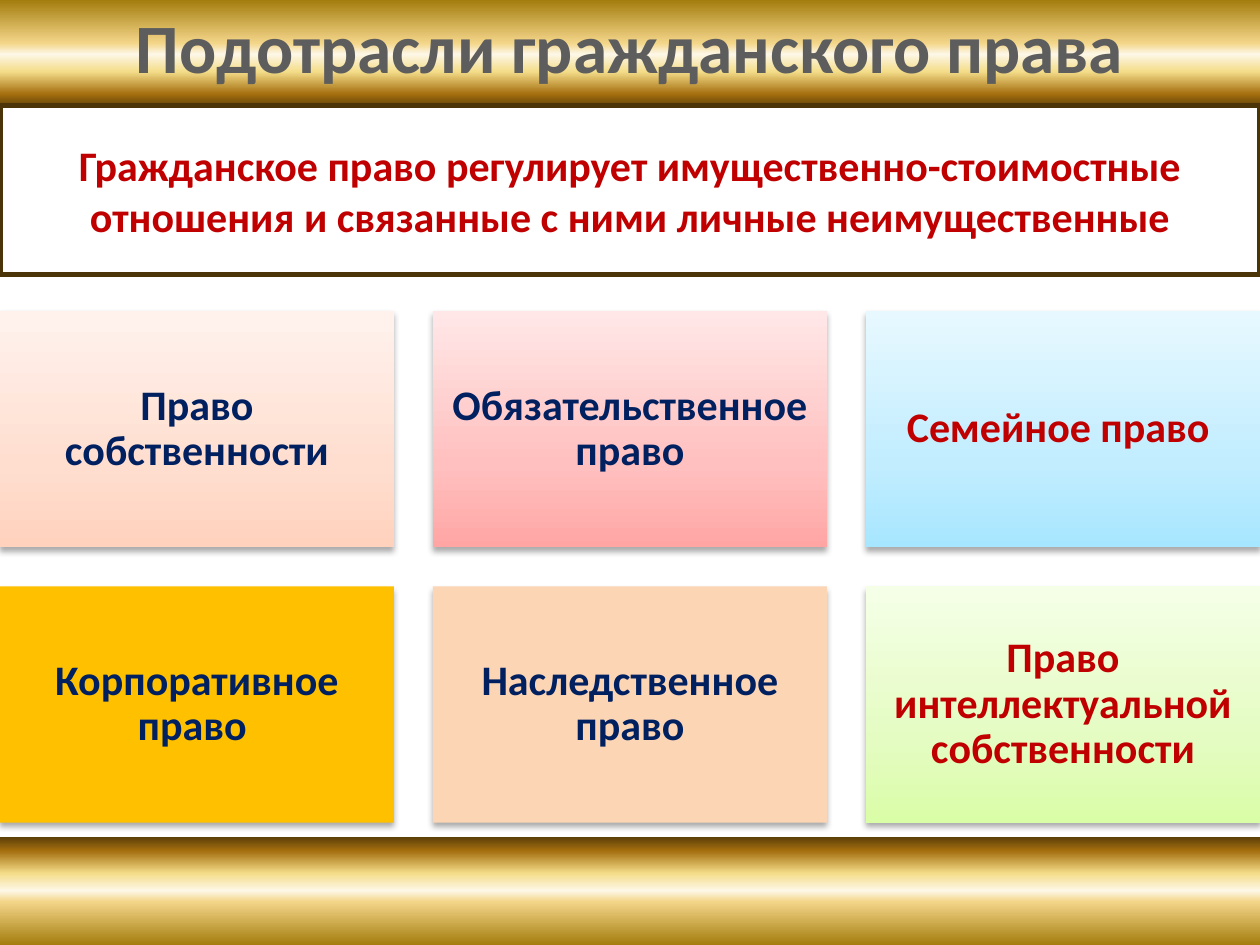
from lxml import etree
from pptx import Presentation
from pptx.dml.color import RGBColor as RGB
from pptx.enum.shapes import MSO_SHAPE as SHAPE
from pptx.enum.text import MSO_ANCHOR as ANCHOR, PP_ALIGN as ALIGN
from pptx.oxml.ns import qn
from pptx.util import Inches, Pt

FONT = "Calibri"
WHITE, BLACK = RGB(255, 255, 255), RGB(0, 0, 0)
GREY = RGB(0x5D, 0x5D, 0x5D)
BROWN = RGB(0x4B, 0x34, 0x07)
RED = RGB(0xC0, 0x00, 0x00)
NAVY = RGB(0x00, 0x20, 0x60)
AMBER = RGB(0xFF, 0xC0, 0x00)
PEACH = RGB(0xFC, 0xD5, 0xB5)
GOLD = [
    (0, RGB(0x58, 0x3D, 0x08)), (13, RGB(0xA4, 0x6E, 0x0E)),
    (34, RGB(0xF4, 0xDD, 0x8A)), (50, RGB(0xFD, 0xF7, 0xE7)),
    (60, RGB(0xF4, 0xD6, 0x8A)), (100, RGB(0xA4, 0x7D, 0x0E)),
]
ORANGE = [(0, RGB(0xFF, 0xD2, 0xBD)), (35, RGB(0xFF, 0xDE, 0xD0)), (100, RGB(0xFF, 0xF2, 0xED))]
PINK = [(0, RGB(0xFF, 0xA6, 0xA5)), (35, RGB(0xFF, 0xC0, 0xBF)), (100, RGB(0xFF, 0xE7, 0xE7))]
BLUE = [(0, RGB(0xA7, 0xE6, 0xFF)), (35, RGB(0xC1, 0xED, 0xFF)), (100, RGB(0xE7, 0xF8, 0xFF))]
GREEN = [(0, RGB(0xDA, 0xFD, 0xA7)), (35, RGB(0xE4, 0xFC, 0xC2)), (100, RGB(0xF5, 0xFF, 0xE7))]

CARDS = [
    ("Право собственности", ORANGE, NAVY),
    ("Обязательственное право", PINK, NAVY),
    ("Семейное право ", BLUE, RED),
    ("Корпоративное право ", AMBER, NAVY),
    ("Наследственное право", PEACH, NAVY),
    ("Право интеллектуальной собственности", GREEN, RED),
]


def add_color(parent, color):
    """Append an sRGB colour element and return it."""
    return etree.SubElement(parent, qn("a:srgbClr"), val=str(color))


def fill_gradient(s, stops, angle):
    """Fill a shape with a linear gradient at a counter-clockwise angle."""
    s.fill.gradient()
    s.fill.gradient_angle = angle
    gs_list = s._element.spPr.find(qn("a:gradFill")).find(qn("a:gsLst"))
    for gs in list(gs_list):
        gs_list.remove(gs)
    for pos, color in stops:
        add_color(etree.SubElement(gs_list, qn("a:gs"), pos=str(pos * 1000)), color)


def add_rect(slide, box, fill, angle=90):
    """Add a borderless rectangle with a plain or gradient fill."""
    s = slide.shapes.add_shape(SHAPE.RECTANGLE, *map(Inches, box))
    s.shadow.inherit = False
    s.line.fill.background()
    if isinstance(fill, list):
        fill_gradient(s, fill, angle)
    else:
        s.fill.solid()
        s.fill.fore_color.rgb = fill
    return s


def add_shadow(s):
    """Give a shape a soft shadow that falls downwards."""
    effects = s._element.spPr.find(qn("a:effectLst"))
    shadow = etree.SubElement(effects, qn("a:outerShdw"), blurRad=str(Pt(3.5)),
                              dist=str(Pt(2.2)), dir="5400000", rotWithShape="0")
    etree.SubElement(add_color(shadow, BLACK), qn("a:alpha"), val="32000")


def write(s, text, color, size=24, spacing=1.0):
    """Write one bold centred paragraph into a shape."""
    tf = s.text_frame
    tf.word_wrap = True
    tf.vertical_anchor = ANCHOR.MIDDLE
    p = tf.paragraphs[0]
    p.alignment = ALIGN.CENTER
    p.line_spacing = spacing
    r = p.add_run()
    r.text = text
    for name, value in {"name": FONT, "size": Pt(size), "bold": True}.items():
        setattr(r.font, name, value)
    r.font.color.rgb = color


def add_bands(slide, width, height, band):
    """Place mirrored gold bands at the top and bottom of the slide."""
    add_rect(slide, (0, 0, width, band), GOLD, 270).rotation = 180
    add_rect(slide, (0, height - band, width, band), GOLD, 270)


def add_title(slide, box):
    """Place the slide heading."""
    write(slide.shapes.add_textbox(*map(Inches, box)),
          "Подотрасли гражданского права", GREY, 39.6)


def add_statement(slide, box):
    """Place the framed statement."""
    s = add_rect(slide, box, WHITE)
    s.line.color.rgb = BROWN
    s.line.width = Pt(3)
    write(s, "Гражданское право регулирует имущественно-стоимостные отношения "
             "и связанные с ними личные неимущественные", RED)


def add_cards(slide, box, cols=3, rows=2, gap=0.31):
    """Lay out the branch cards in an even grid."""
    left, top, width, height = box
    w = (width - gap * (cols - 1)) / cols
    h = (height - gap * (rows - 1)) / rows
    for i, (text, fill, color) in enumerate(CARDS):
        row, col = divmod(i, cols)
        s = add_rect(slide, (left + col * (w + gap), top + row * (h + gap), w, h), fill)
        add_shadow(s)
        write(s, text, color, spacing=0.9)
        for side in ("left", "top", "right", "bottom"):
            setattr(s.text_frame, f"margin_{side}", Inches(0.1))


def main():
    """Build and save the slide."""
    prs = Presentation()
    prs.slide_width, prs.slide_height = Inches(10), Inches(7.5)
    slide = prs.slides.add_slide(prs.slide_layouts[6])
    add_bands(slide, 10, 7.5, 0.86)
    add_title(slide, (0, 0, 10, 0.72))
    add_statement(slide, (0, 0.84, 10, 1.34))
    add_cards(slide, (0, 2.47, 10, 4.06))
    prs.save("out.pptx")


if __name__ == "__main__":
    main()
